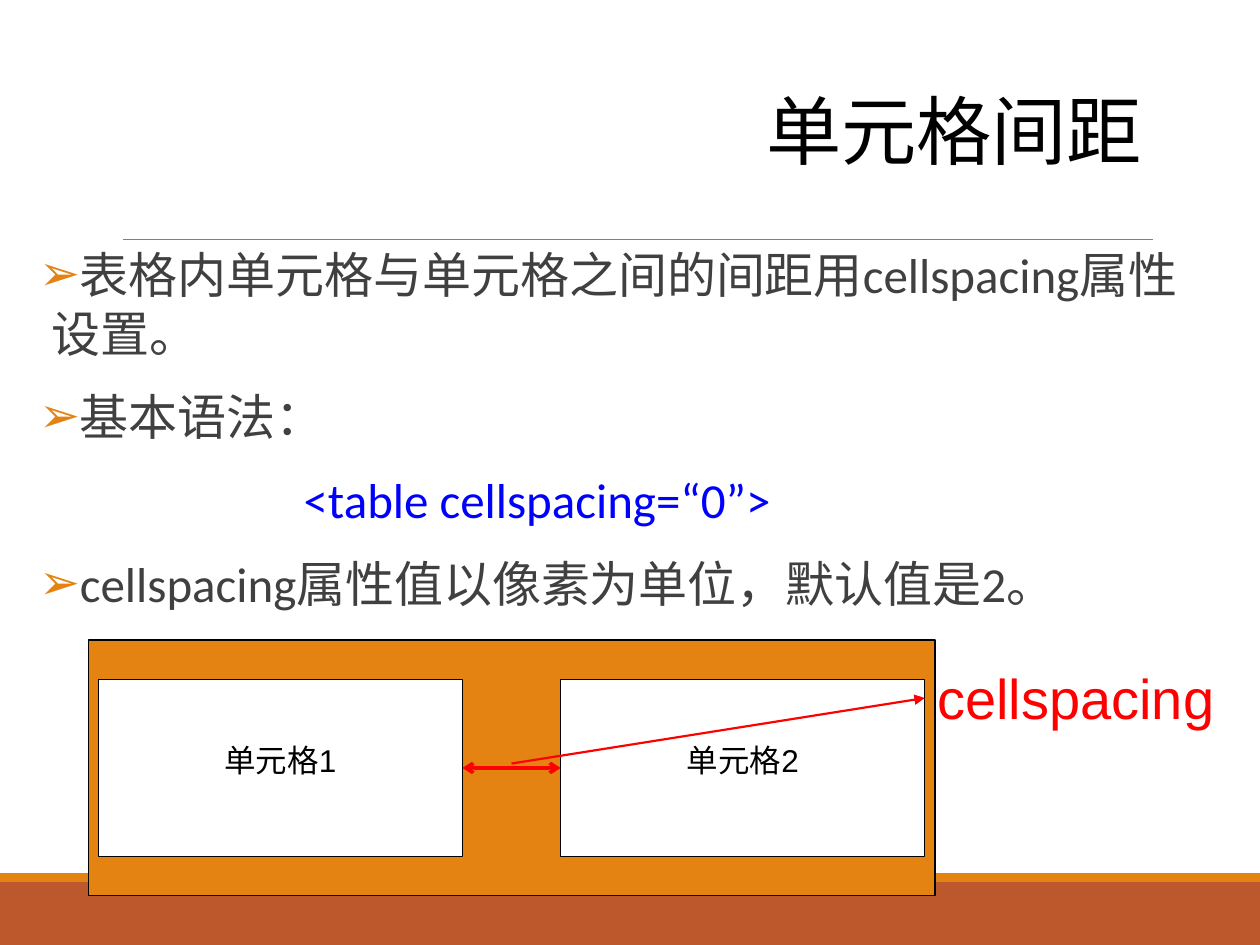
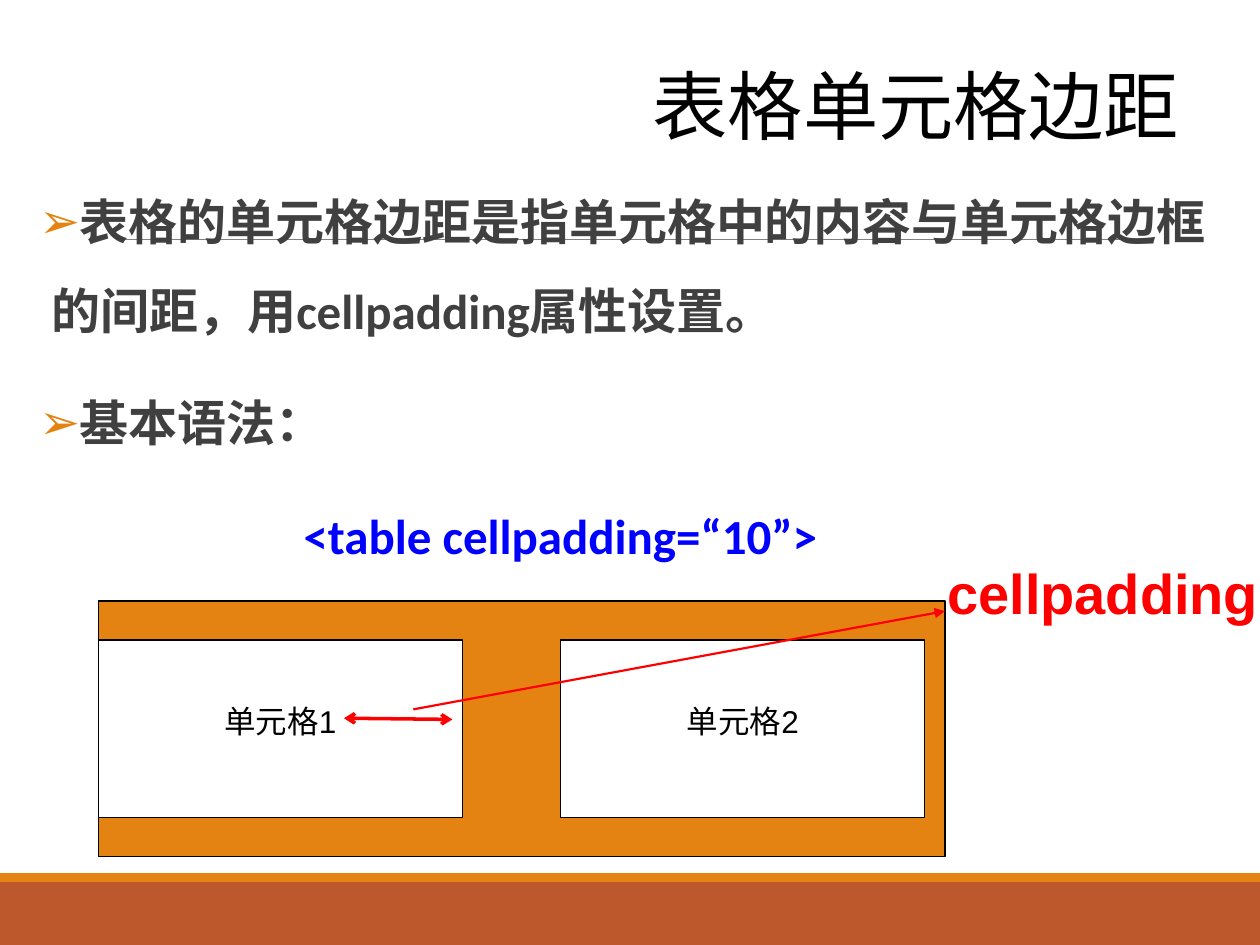
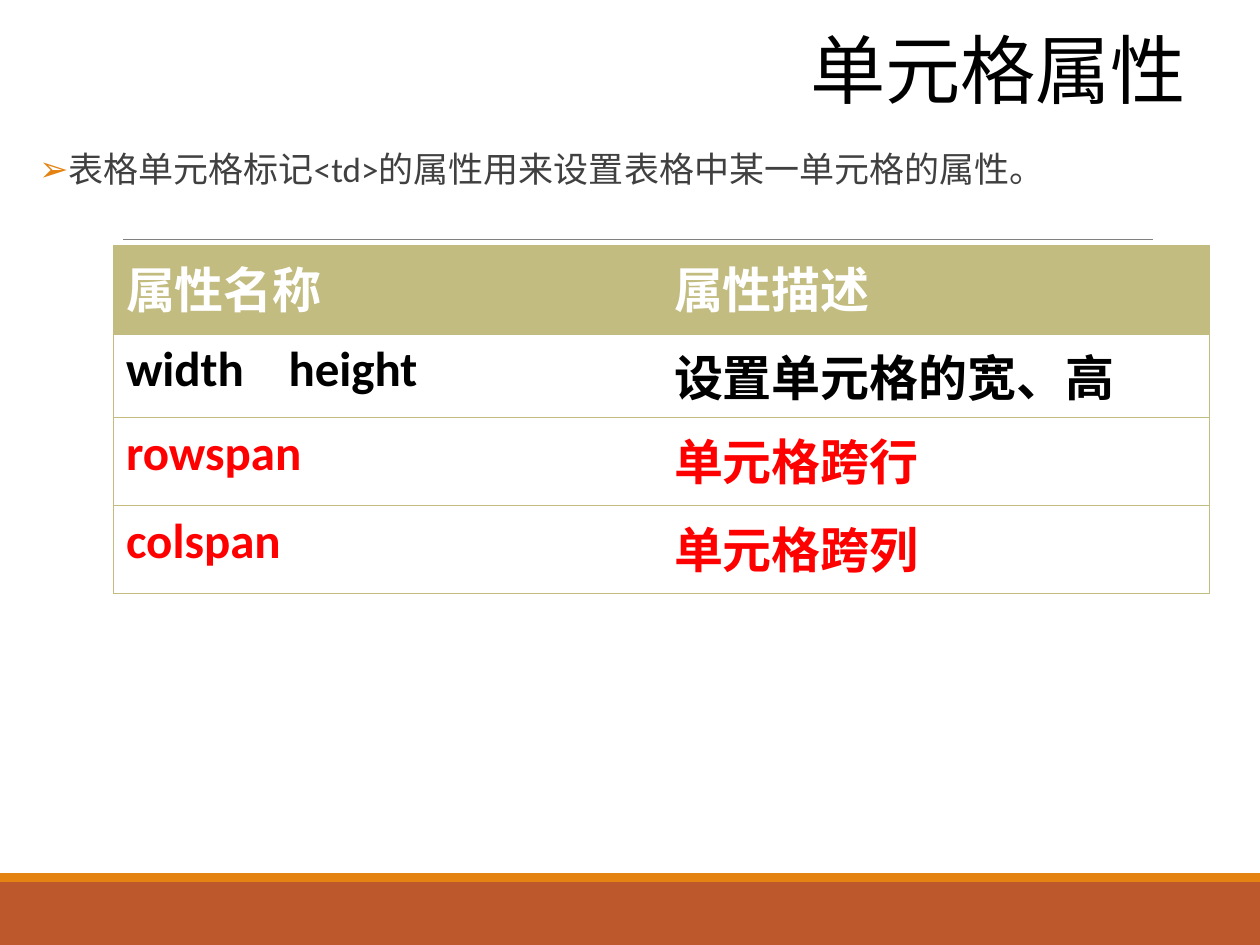
from dataclasses import dataclass

from lxml.etree import SubElement
from pptx import Presentation
from pptx.dml.color import RGBColor
from pptx.enum.shapes import MSO_CONNECTOR, MSO_SHAPE
from pptx.enum.text import MSO_ANCHOR, MSO_AUTO_SIZE, PP_ALIGN
from pptx.oxml.ns import qn
from pptx.util import Inches, Pt


@dataclass(frozen=True)
class Theme:
    band: str = "BD582C"
    accent: str = "E48312"
    rule: str = "808080"
    body: str = "404040"
    black: str = "000000"
    white: str = "FFFFFF"
    code: str = "0000FF"
    red: str = "FF0000"
    olive: str = "C2BC80"
    font: str = "Calibri"
    label_font: str = "Arial"
    title_size: int = 43
    text_size: int = 28
    note_size: int = 20
    cell_size: int = 18
    label_size: int = 32


T = Theme()
W, H = 10, 7.5
CELL_W, CELL_H = 2.89, 1.41
CELL_LEFTS = 0.78, 4.45
FRAME_W, FRAME_H = 6.72, 2.03
FRAME_PAD = 0.31
CODE_INDENT = 2.1

SLIDES = [
    dict(
        title="单元格间距", title_at=(5.98, 0.65, 3.25, 0.79),
        body=[("bullet", "表格内单元格与单元格之间的间距用cellspacing属性设置。"),
              ("bullet", "基本语法："),
              ("code", "<table cellspacing=“0”>"),
              ("bullet", "cellspacing属性值以像素为单位，默认值是2。")],
        body_at=(0.31, 1.89, 9.37, 6.12), spacing=1.0,
        diagram=dict(frame=(0.7, 5.08), gap=None, pointer=(4.06, 6.06, 7.34, 5.54),
                     label="cellspacing", label_at=(7.34, 5.22, 2.5, 0.64)),
    ),
    dict(
        title="表格单元格边距", title_at=(5.08, 0.45, 4.61, 0.79),
        body=[("bullet", "表格的单元格边距是指单元格中的内容与单元格边框的间距，用cellpadding属性设置。"),
              ("bullet", "基本语法："),
              ("code", "<table cellpadding=“10”>")],
        body_at=(0.31, 1.24, 9.37, 6.12), spacing=1.5, bold=True,
        diagram=dict(frame=(0.78, 4.77), gap=(2.73, 5.7, 3.59, 5.71), pointer=(3.28, 5.63, 7.5, 4.85),
                     label="cellpadding", label_at=(7.42, 4.38, 2.7, 0.64)),
    ),
    dict(
        title="单元格属性", title_at=(6.33, 0.16, 3.36, 0.79),
        body=[("bullet", "表格单元格标记<td>的属性用来设置表格中某一单元格的属性。")],
        body_at=(0.31, 1.16, 9.3, 1.41), spacing=0.9, size=T.note_size,
        table=dict(at=(0.9, 1.95, 8.7, 2.67), heights=(0.7, 0.57, 0.7, 0.7),
                   rows=[("属性名称", "属性描述", T.white),
                         ("width\theight", "设置单元格的宽、高", T.black),
                         ("rowspan", "单元格跨行", T.red),
                         ("colspan", "单元格跨列", T.red)]),
    ),
]


def rgb(color):
    return RGBColor.from_string(color)


def write(p, text, size=T.text_size, color=T.body, font=T.font, bold=False, align=PP_ALIGN.LEFT,
          spacing=None, before=0, after=0):
    p.alignment = align
    p.line_spacing = spacing
    p.space_before, p.space_after = Pt(before), Pt(after)
    r = p.add_run()
    r.text = text
    r.font.size, r.font.name, r.font.bold = Pt(size), font, bold
    r.font.color.rgb = rgb(color)


def place(sp, at):
    sp.left, sp.top, sp.width, sp.height = map(Inches, at)


def set_frame(tf, anchor, side=0.1, bottom=0.05):
    tf.word_wrap = True
    tf.auto_size = MSO_AUTO_SIZE.NONE
    tf.vertical_anchor = anchor
    tf.margin_left = tf.margin_right = Inches(side)
    tf.margin_top, tf.margin_bottom = Inches(0.05), Inches(bottom)


def add_rect(s, at, fill, line=None):
    sp = s.shapes.add_shape(MSO_SHAPE.RECTANGLE, *map(Inches, at))
    sp.shadow.inherit = False
    sp.fill.solid()
    sp.fill.fore_color.rgb = rgb(fill)
    if line:
        sp.line.color.rgb = rgb(line)
        sp.line.width = Pt(0.75)
    else:
        sp.line.fill.background()
    return sp


def add_line(s, ends, color, width, head=None, tail=None):
    cx = s.shapes.add_connector(MSO_CONNECTOR.STRAIGHT, *map(Inches, ends))
    cx.line.color.rgb = rgb(color)
    cx.line.width = Pt(width)
    ln = cx.line._get_or_add_ln()
    for tag, kind in (("a:headEnd", head), ("a:tailEnd", tail)):
        if kind:
            SubElement(ln, qn(tag), type=kind)
    SubElement(cx.element.spPr, qn("a:effectLst"))
    return cx


def set_bullet(p, left, indent, char=None):
    pPr = p._p.get_or_add_pPr()
    pPr.set("marL", str(Inches(left)))
    pPr.set("indent", str(Inches(indent)))
    if char:
        SubElement(SubElement(pPr, qn("a:buClr")), qn("a:srgbClr"), val=T.accent)
        SubElement(pPr, qn("a:buChar"), char=char)
    else:
        SubElement(pPr, qn("a:buNone"))


def add_bands(s, layout):
    parts = [add_rect(s, (0, 7, W, 0.5), T.band),
             add_rect(s, (0, 6.93, W, 0.07), T.accent),
             add_line(s, (0.98, 1.9, 9.15, 1.9), T.rule, 0.5)]
    for i, part in enumerate(parts):
        layout.shapes.element.insert(2 + i, part.element)


def add_text(s, item):
    title, body = s.placeholders[0], s.placeholders[1]
    place(title, item["title_at"])
    set_frame(title.text_frame, MSO_ANCHOR.BOTTOM)
    write(title.text_frame.paragraphs[0], item["title"], size=T.title_size, color=T.black, spacing=0.85)
    place(body, item["body_at"])
    tf = body.text_frame
    set_frame(tf, MSO_ANCHOR.TOP, side=0)
    for i, (kind, text) in enumerate(item["body"]):
        p = tf.add_paragraph() if i else tf.paragraphs[0]
        code = kind == "code"
        write(p, text, size=item.get("size", T.text_size), color=T.code if code else T.body,
              bold=item.get("bold", False), spacing=item["spacing"], before=12, after=2)
        if code:
            set_bullet(p, CODE_INDENT, 0)
        else:
            set_bullet(p, 0.1, -0.1, "➢")


def add_diagram(s, frame, gap, pointer, label, label_at, bold):
    left, top = frame
    add_rect(s, (left, top, FRAME_W, FRAME_H), T.accent, T.black)
    cells = []
    for i, x in enumerate(CELL_LEFTS, 1):
        cell = add_rect(s, (x, top + FRAME_PAD, CELL_W, CELL_H), T.white, T.black)
        set_frame(cell.text_frame, MSO_ANCHOR.BOTTOM, bottom=0.62)
        write(cell.text_frame.paragraphs[0], f"单元格{i}", size=T.cell_size, color=T.black,
              font=T.label_font, align=PP_ALIGN.CENTER)
        cells.append(cell)
    arrow = add_line(s, gap or (0, 0, 1, 1), T.red, 2, "arrow", "arrow")
    if not gap:
        arrow.begin_connect(cells[0], 3)
        arrow.end_connect(cells[1], 1)
    add_line(s, pointer, T.red, 1.25, tail="triangle")
    tf = s.shapes.add_textbox(*map(Inches, label_at)).text_frame
    set_frame(tf, MSO_ANCHOR.TOP)
    write(tf.paragraphs[0], label, size=T.label_size, color=T.red, font=T.label_font, bold=bold)


def set_borders(cell, outer):
    tcPr = cell._tc.get_or_add_tcPr()
    for i, side in enumerate(("L", "R", "T", "B")):
        ln = SubElement(tcPr, qn(f"a:ln{side}"), w=str(Pt(0.45)))
        if side in ("T", "B", outer):
            SubElement(SubElement(ln, qn("a:solidFill")), qn("a:srgbClr"), val=T.olive)
        else:
            SubElement(ln, qn("a:noFill"))


def add_attributes(s, at, heights, rows):
    tbl = s.shapes.add_table(len(rows), 2, *map(Inches, at)).table
    tbl.first_row = tbl.horz_banding = False
    for i, (name, use, color) in enumerate(rows):
        tbl.rows[i].height = Inches(heights[i])
        for j, text in enumerate((name, use)):
            cell = tbl.cell(i, j)
            set_borders(cell, "LR"[j])
            if i:
                cell.fill.background()
            else:
                cell.fill.solid()
                cell.fill.fore_color.rgb = rgb(T.olive)
            p = cell.text_frame.paragraphs[0]
            write(p, text, color=color, bold=True)
            if "\t" in text:
                tabs = SubElement(p._p.get_or_add_pPr(), qn("a:tabLst"))
                SubElement(tabs, qn("a:tab"), pos=str(Inches(1.29)), algn="l")


def main():
    prs = Presentation()
    prs.slide_width, prs.slide_height = Inches(W), Inches(H)
    layout = prs.slide_layouts[1]
    for i, item in enumerate(SLIDES):
        s = prs.slides.add_slide(layout)
        if i == 0:
            add_bands(s, layout)
        add_text(s, item)
        if "diagram" in item:
            add_diagram(s, **item["diagram"], bold=item.get("bold", False))
        if "table" in item:
            add_attributes(s, **item["table"])
    prs.save("out.pptx")


if __name__ == "__main__":
    main()
